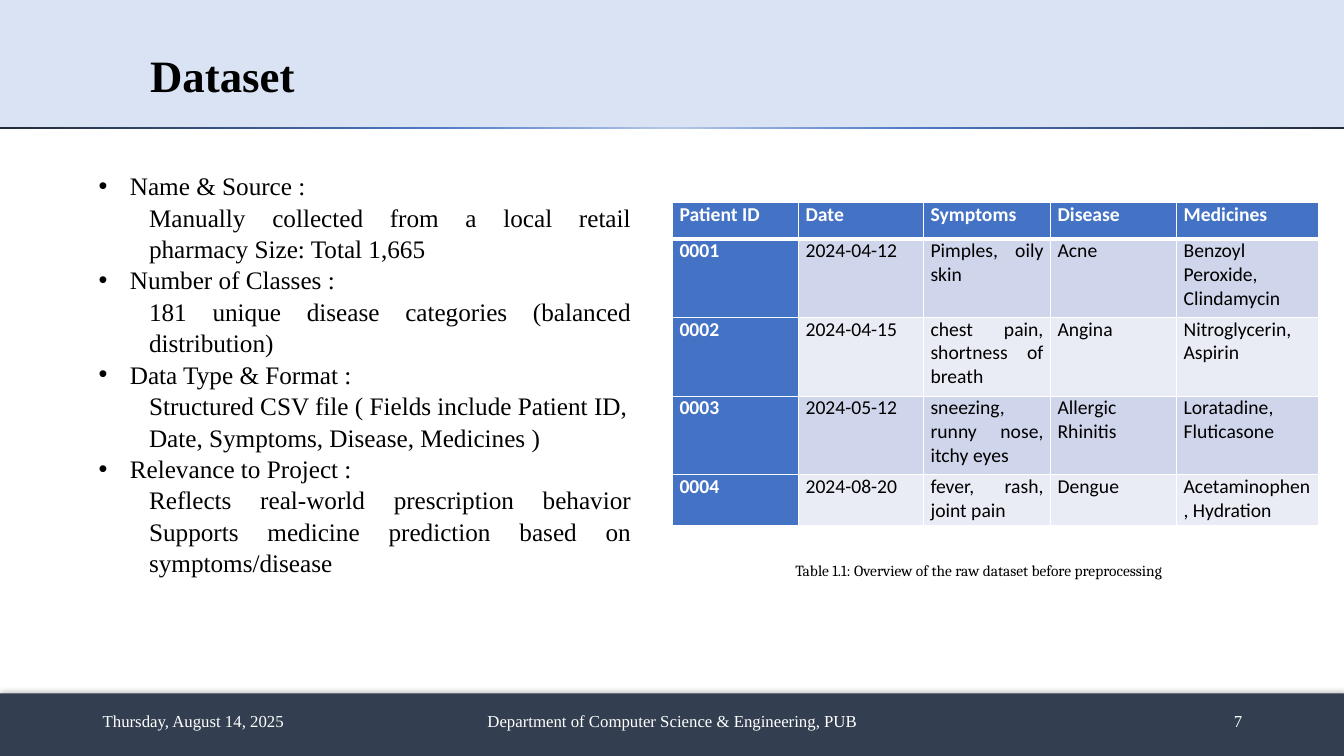
from lxml import etree
from pptx import Presentation, util as u
from pptx.dml.color import RGBColor
from pptx.enum import shapes, text
from pptx.oxml import parse_xml
from pptx.oxml.ns import qn

W, H = 13.33, 7.5
NS = 'xmlns:a="http://schemas.openxmlformats.org/drawingml/2006/main"'
SERIF = "Times New Roman"
NAVY, BLUE, WHITE, BLACK = "333F50", "4472C4", "FFFFFF", "000000"
BANDS = ["CFD5EA", "E9EBF5"]
ALIGN = text.PP_ALIGN

DETAILS = [
    ("Name & Source :", ALIGN.JUSTIFY,
     "Manually collected from a local retail pharmacy Size: Total 1,665", ALIGN.JUSTIFY),
    ("Number of Classes :", ALIGN.JUSTIFY,
     "181 unique disease categories (balanced distribution)", ALIGN.JUSTIFY),
    ("Data Type & Format :", ALIGN.LEFT,
     "Structured CSV file ( Fields include Patient ID, Date, Symptoms, Disease, Medicines )",
     ALIGN.LEFT),
    ("Relevance to Project :", ALIGN.JUSTIFY,
     "Reflects real-world prescription behavior Supports medicine prediction "
     "based on symptoms/disease", ALIGN.JUSTIFY),
]
RECORDS = [
    ["Patient ID", "Date", "Symptoms", "Disease", "Medicines"],
    ["0001", "2024-04-12", "Pimples, oily skin", "Acne", "Benzoyl Peroxide, Clindamycin"],
    ["0002", "2024-04-15", "chest pain, shortness of breath", "Angina", "Nitroglycerin, Aspirin"],
    ["0003", "2024-05-12", "sneezing, runny nose, itchy eyes", "Allergic Rhinitis",
     "Loratadine, Fluticasone"],
    ["0004", "2024-08-20", "fever, rash, joint pain", "Dengue", "Acetaminophen, Hydration"],
]


def rgb(value):
    return RGBColor.from_string(value)


def shadow(blur, dist, angle, alpha):
    return parse_xml(
        f'<a:effectLst {NS}><a:outerShdw blurRad="{u.Pt(blur)}" dist="{u.Pt(dist)}" '
        f'dir="{angle * 60000}" algn="tl" rotWithShape="0"><a:srgbClr val="{BLACK}">'
        f'<a:alpha val="{alpha * 1000}"/></a:srgbClr></a:outerShdw></a:effectLst>')


def format_runs(p, size, font, color, bold=False):
    for r in p.runs:
        r.font.size, r.font.name, r.font.bold = u.Pt(size), font, bold
        r.font.color.rgb = rgb(color)


def add_bar(s, box, color):
    sp = s.shapes.add_shape(shapes.MSO_SHAPE.RECTANGLE, *map(u.Inches, box))
    sp.shadow.inherit = False
    sp.fill.solid()
    sp.fill.fore_color.rgb = rgb(color)
    sp.line.fill.background()
    return sp


def add_label(s, box, words, size, font=SERIF, color=BLACK, align=ALIGN.LEFT,
              anchor=text.MSO_ANCHOR.MIDDLE, bold=False, wrap=True):
    tf = s.shapes.add_textbox(*map(u.Inches, box)).text_frame
    tf.word_wrap, tf.vertical_anchor = wrap, anchor
    tf.text = words
    p = tf.paragraphs[0]
    p.alignment = align
    format_runs(p, size, font, color, bold)
    return p


def add_header(s, x, y, w, h):
    add_bar(s, (x, y, w, h), "DAE3F3")
    # Rule that fades from dark ends to a light middle
    rule = add_bar(s, (x, y + h - 0.01, w, 0.02), BLUE)
    stops = [(0, "222A35"), (32, "4D79C7"), (50, "B4C7E7"), (68, "4D79C7"), (100, "222A35")]
    gradient = "".join(f'<a:gs pos="{pos * 1000}"><a:srgbClr val="{color}"/></a:gs>'
                       for pos, color in stops)
    fill = rule._element.spPr.find(qn("a:solidFill"))
    fill.addprevious(parse_xml(
        f'<a:gradFill {NS}><a:gsLst>{gradient}</a:gsLst><a:lin ang="0" scaled="0"/></a:gradFill>'))
    fill.getparent().remove(fill)
    # Title
    p = add_label(s, (x + 1.39, y + 0.38, w - 2.22, 0.68), "Dataset", 32,
                  anchor=text.MSO_ANCHOR.BOTTOM, bold=True)
    p.line_spacing = 0.9
    p.runs[0].font._element.find(qn("a:solidFill")).addnext(shadow(4, 3, 45, 43))


def add_footer(s, x, y, w, h):
    bar = add_bar(s, (x, y, w, h), NAVY)
    effects = bar._element.spPr.find(qn("a:effectLst"))
    effects.getparent().replace(effects, shadow(5, 0, 0, 40))
    for left, width, words, align in [
            (0.92, 3, "Thursday, August 14, 2025", ALIGN.LEFT),
            (4.42, 4.5, "Department of Computer Science & Engineering, PUB", ALIGN.CENTER),
            (9.42, 3, "7", ALIGN.RIGHT)]:
        add_label(s, (x + left, y + 0.07, width, 0.4), words, 12, color=WHITE, align=align)


def add_details(s, x, y, w, h):
    tf = s.shapes.add_textbox(*map(u.Inches, (x, y, w, h))).text_frame
    tf.word_wrap = True
    lines = [line for head, head_align, body, body_align in DETAILS
             for line in ((head, head_align, True), (body, body_align, False))]
    for i, (words, align, bulleted) in enumerate(lines):
        p = tf.paragraphs[0] if i == 0 else tf.add_paragraph()
        p.text, p.alignment, p.line_spacing = words, align, 1.04
        pPr = p._p.get_or_add_pPr()
        pPr.set("marL", str(u.Inches(0.31 if bulleted else 0.5)))
        pPr.set("indent", str(u.Inches(-0.31 if bulleted else 0)))
        if bulleted:
            etree.SubElement(pPr, qn("a:buFont"), typeface="Arial")
            etree.SubElement(pPr, qn("a:buChar"), char="•")
        else:
            p.level = 1
        format_runs(p, 18, SERIF, BLACK)


def set_borders(cell, bottom):
    tcPr = cell._tc.get_or_add_tcPr()
    for i, (side, width) in enumerate(zip("LRTB", (1, 1, 1, bottom))):
        tcPr.insert(i, parse_xml(
            f'<a:ln{side} {NS} w="{u.Pt(width)}"><a:solidFill><a:srgbClr val="{WHITE}"/>'
            f'</a:solidFill></a:ln{side}>'))


def add_records(s, x, y, w, h):
    table = s.shapes.add_table(len(RECORDS), len(RECORDS[0]),
                               *map(u.Inches, (x, y, w, h))).table
    for column, width in zip(table.columns, (1.25, 1.24, 1.26, 1.25, 1.41)):
        column.width = u.Inches(width)
    for i, (row, height) in enumerate(zip(table.rows, (0.36, 0.78, 0.78, 0.78, 0.5))):
        row.height = u.Inches(height)
        for j, cell in enumerate(row.cells):
            heading = i == 0 or j == 0
            cell.text = RECORDS[i][j]
            cell.margin_left = cell.margin_right = u.Inches(0.07)
            cell.margin_top = cell.margin_bottom = 0
            cell.fill.solid()
            cell.fill.fore_color.rgb = rgb(BLUE if heading else BANDS[(i - 1) % 2])
            set_borders(cell, 3 if i == 0 else 1)
            p = cell.text_frame.paragraphs[0]
            p.alignment = ALIGN.JUSTIFY
            format_runs(p, 14, "Calibri", WHITE if heading else BLACK, heading)
    # Caption under the table
    add_label(s, (x + 1.12, y + h + 0.31, 4.16, 0.29),
              "Table 1.1: Overview of the raw dataset before preprocessing", 11,
              font="Cambria", anchor=text.MSO_ANCHOR.TOP, wrap=False)


def main():
    prs = Presentation()
    prs.slide_width, prs.slide_height = u.Inches(W), u.Inches(H)
    s = prs.slides.add_slide(prs.slide_layouts[6])
    add_header(s, 0, 0, W, 1.27)
    add_footer(s, 0, 6.88, W, H - 6.88)
    add_details(s, 0.88, 1.63, 5.48, 4.04)
    add_records(s, 6.67, 2.01, 6.41, 3.2)
    prs.save("out.pptx")


if __name__ == "__main__":
    main()
